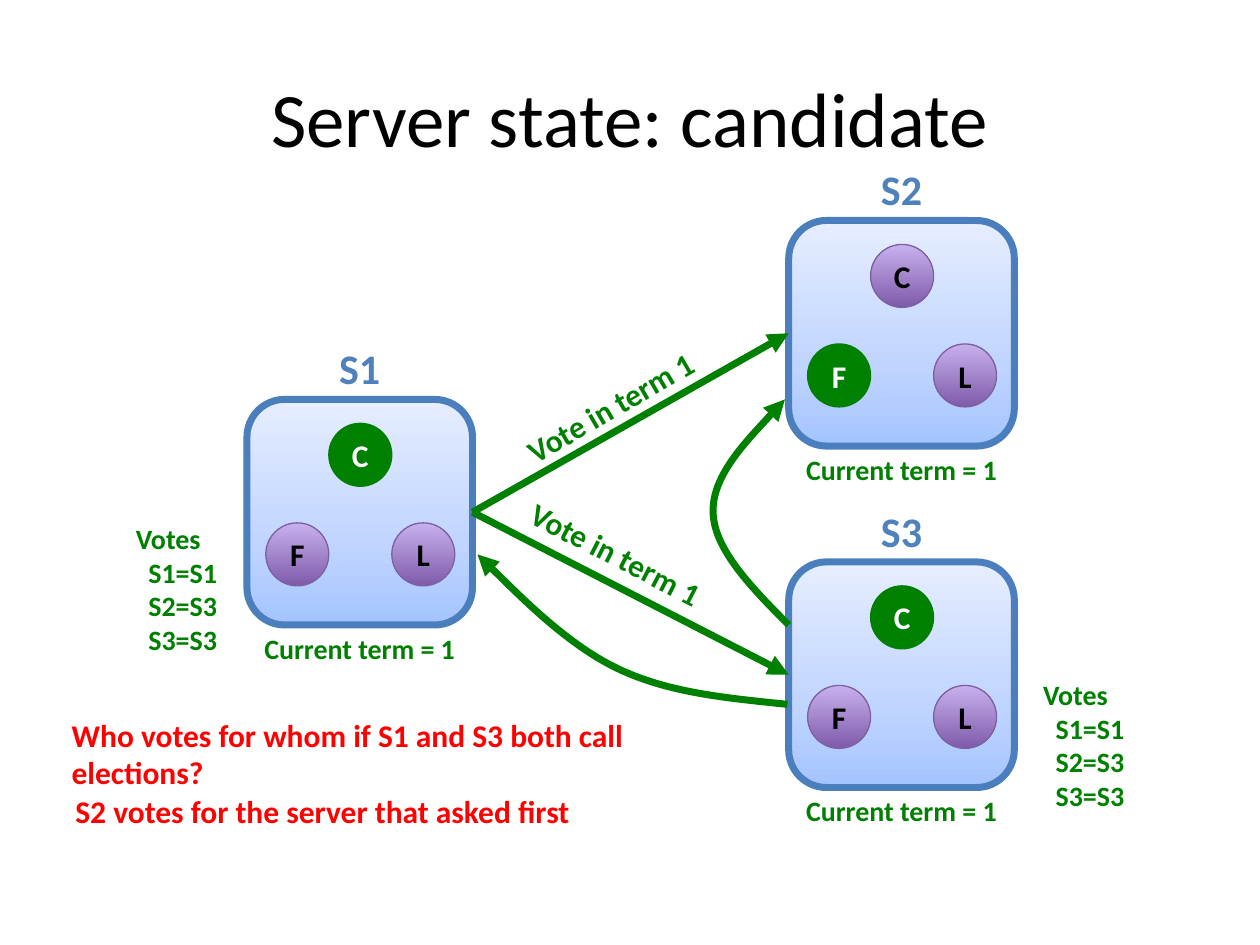
from copy import deepcopy
from dataclasses import dataclass

from lxml.etree import SubElement
from pptx import Presentation
from pptx.dml.color import RGBColor
from pptx.enum.shapes import MSO_CONNECTOR as Connector, MSO_SHAPE as Shape
from pptx.enum.text import MSO_ANCHOR as Anchor, PP_ALIGN as Align
from pptx.oxml.ns import qn
from pptx.util import Inches, Pt


@dataclass(frozen=True)
class Theme:
    font: str = "Calibri"
    black: str = "000000"
    white: str = "FFFFFF"
    active: str = "008000"
    question: str = "FF0000"
    server_name: str = "4F81BD"
    server_edge: str = "4B7EBC"
    state_edge: str = "7D60A0"
    server_fill: tuple = ((0, "A4C4FF"), (0.35, "BFD4FF"), (1, "E6EEFF"))
    state_fill: tuple = ((0, "7F5BAB"), (1, "C8B0ED"))
    title_size: int = 44
    name_size: int = 24
    body_size: int = 18
    note_size: int = 16
    heavy: float = 4
    thin: float = 0.75


THEME = Theme()
TITLE = "Server state: candidate"
TERM = "Current term = 1"
REQUEST = "Vote in term 1"
SERVER_SIZE = 1.79
STATE_SIZE = 0.5
SERVERS = {
    "S1": {"at": (1.96, 3.17), "active": "C"},
    "S2": {"at": (6.26, 1.75), "active": "F"},
    "S3": {"at": (6.26, 4.46), "active": "C"},
}
STATES = {"C": (0.65, 0.19), "F": (0.15, 0.98), "L": (1.15, 0.98)}
VOTES = ["Votes", "S1=S1", "S2=S3", "S3=S3"]
VOTES_AT = [(0.98, 4.09), (8.18, 5.33)]
REQUESTS = [("S1", "S2", (3.99, 2.97), -30.1), ("S1", "S3", (4.04, 4.25), 27.2)]
REPLY_CURVES = [
    [(6.26, 4.96), (5.96, 4.66), (5.66, 4.35), (5.66, 4.06),
     (5.65, 3.76), (6.23, 3.17), (6.23, 3.17)],
    [(6.25, 5.59), (5.77, 5.54), (5.3, 5.5), (4.89, 5.3),
     (4.48, 5.1), (3.79, 4.4), (3.79, 4.4)],
]
QUESTIONS = [
    ("Who votes for whom if S1 and S3 both call elections?", (0.47, 5.63, 5.43, 0.71)),
    ("S2 votes for the server that asked first", (0.5, 6.24, 5.43, 0.4)),
]


def style_text(shape, text, size, color, bold=True, align=Align.LEFT):
    frame = shape.text_frame
    frame.text = text
    for para in frame.paragraphs:
        para.alignment = align
        for span in para.runs:
            span.font.name = THEME.font
            span.font.size = Pt(size)
            span.font.bold = bold
            span.font.color.rgb = RGBColor.from_string(color)


def add_text(page, text, bounds, size, color, **style):
    box = page.shapes.add_textbox(*map(Inches, bounds))
    box.text_frame.word_wrap = True
    style_text(box, text, size, color, **style)
    return box


def style_line(shape, color, width):
    shape.line.color.rgb = RGBColor.from_string(color)
    shape.line.width = Pt(width)


def fill_gradient(shape, stops):
    shape.fill.gradient()
    shape.fill.gradient_angle = 90
    stop_list = shape._element.spPr.find(".//" + qn("a:gsLst"))
    while len(stop_list) < len(stops):
        stop_list.append(deepcopy(stop_list[0]))
    for stop, (position, color) in zip(shape.fill.gradient_stops, stops):
        stop.position = position
        stop.color.rgb = RGBColor.from_string(color)


def add_preset(page, preset, left, top, size):
    shape = page.shapes.add_shape(preset, *map(Inches, (left, top, size, size)))
    shape.shadow.inherit = False
    return shape


def add_state(page, name, left, top, active):
    circle = add_preset(page, Shape.OVAL, left, top, STATE_SIZE)
    if active:
        circle.fill.solid()
        circle.fill.fore_color.rgb = RGBColor.from_string(THEME.active)
    else:
        fill_gradient(circle, THEME.state_fill)
    style_line(circle, THEME.active if active else THEME.state_edge, THEME.thin)
    style_text(circle, name, THEME.body_size, THEME.white if active else THEME.black,
               align=Align.CENTER)
    circle.text_frame.word_wrap = False
    circle.text_frame.vertical_anchor = Anchor.MIDDLE


def add_server(page, name, at, active):
    left, top = at
    server = add_preset(page, Shape.ROUNDED_RECTANGLE, left, top, SERVER_SIZE)
    fill_gradient(server, THEME.server_fill)
    style_line(server, THEME.server_edge, THEME.heavy)
    for state, (across, down) in STATES.items():
        add_state(page, state, left + across, top + down, state == active)
    add_text(page, name, (left, top - 0.5, SERVER_SIZE, 0.5), THEME.name_size,
             THEME.server_name, align=Align.CENTER)
    add_text(page, TERM, (left, top + SERVER_SIZE, SERVER_SIZE, 0.37), THEME.note_size,
             THEME.active, align=Align.CENTER)
    return server


def style_arrow(arrow):
    style_line(arrow, THEME.active, THEME.heavy)
    SubElement(arrow.line._get_or_add_ln(), qn("a:tailEnd"), type="triangle")


def add_request(page, sender, receiver, at, angle):
    arrow = page.shapes.add_connector(Connector.STRAIGHT, 0, 0, 0, 0)
    arrow.begin_connect(sender, 3)
    arrow.end_connect(receiver, 1)
    style_arrow(arrow)
    SubElement(arrow._element.spPr, qn("a:effectLst"))
    label = add_text(page, REQUEST, (*at, 1.91, 0.4), THEME.body_size, THEME.active)
    label.rotation = angle


def add_reply(page, points):
    start, *rest = [tuple(map(Inches, point)) for point in points]
    builder = page.shapes.build_freeform(*start)
    builder.add_line_segments(rest, close=False)
    curve = builder.convert_to_shape()
    curve.shadow.inherit = False
    curve.fill.background()
    style_arrow(curve)
    outline = curve._element.spPr.find(".//" + qn("a:path"))
    segments = outline.findall(qn("a:lnTo"))
    for first in range(0, len(segments), 3):
        bezier = SubElement(outline, qn("a:cubicBezTo"))
        for segment in segments[first:first + 3]:
            bezier.append(segment[0])
            outline.remove(segment)


def add_votes(page, at):
    box = add_text(page, "\n".join(VOTES), (*at, 0.9, 1.18), THEME.note_size, THEME.active)
    for para in box.text_frame.paragraphs[1:]:
        para._p.get_or_add_pPr().set("marL", str(Inches(0.1)))


def main():
    """Build the slide on servers voting in a leader election."""
    deck = Presentation()
    deck.slide_width, deck.slide_height = Inches(10), Inches(7.5)
    page = deck.slides.add_slide(deck.slide_layouts[6])
    title = add_text(page, TITLE, (0.5, 0.3, 9, 1.25), THEME.title_size, THEME.black,
                     bold=False, align=Align.CENTER)
    title.text_frame.vertical_anchor = Anchor.MIDDLE
    servers = {name: add_server(page, name, **details) for name, details in SERVERS.items()}
    for sender, receiver, at, angle in REQUESTS:
        add_request(page, servers[sender], servers[receiver], at, angle)
    for points in REPLY_CURVES:
        add_reply(page, points)
    for at in VOTES_AT:
        add_votes(page, at)
    for text, bounds in QUESTIONS:
        add_text(page, text, bounds, THEME.body_size, THEME.question)
    deck.save("out.pptx")


if __name__ == "__main__":
    main()
